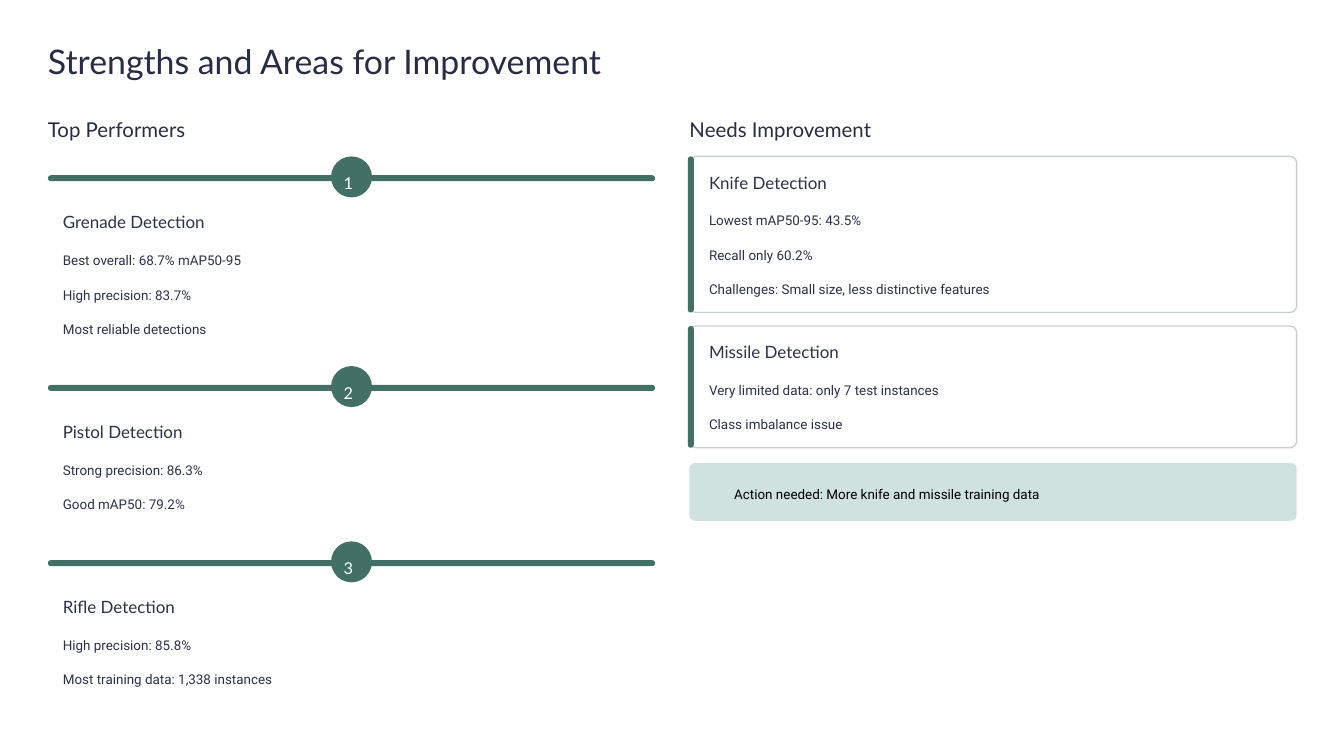
import pptx
import pptx.util
import pptx.dml.color
import pptx.enum.shapes
import pptx.enum.text
from pptx.util import Cm, Pt

TITLE = "Strengths and Areas for Improvement"
STRENGTHS = ("Top Performers", [
    ("Grenade Detection", ["Best overall: 68.7% mAP50-95", "High precision: 83.7%",
                           "Most reliable detections"]),
    ("Pistol Detection", ["Strong precision: 86.3%", "Good mAP50: 79.2%"]),
    ("Rifle Detection", ["High precision: 85.8%", "Most training data: 1,338 instances"]),
])
WEAKNESSES = ("Needs Improvement", [
    ("Knife Detection", ["Lowest mAP50-95: 43.5%", "Recall only 60.2%",
                         "Challenges: Small size, less distinctive features"]),
    ("Missile Detection", ["Very limited data: only 7 test instances",
                           "Class imbalance issue"]),
])
ACTION = "Action needed: More knife and missile training data"

THEME = {
    "green": "437066", "mint": "CFE2DE", "border": "C5D2CF", "white": "FFFFFF",
    "title": {"name": "Lato", "size": 29, "color": "272D45", "leading": 36.5},
    "section": {"name": "Lato", "size": 17.5, "color": "272D45", "leading": 22},
    "number": {"name": "Lato", "size": 14, "color": "FFFFFF", "leading": 22.5},
    "heading": {"name": "Lato", "size": 14.5, "color": "2C3249", "leading": 18},
    "body": {"name": "Roboto", "size": 11.5, "color": "2C3249", "leading": 18.5},
    "action": {"name": "Roboto", "size": 11.5, "color": "000000", "leading": 18.5},
}

LEFT, RIGHT, COL_W = 1.45, 20.85, 18.36
SECTION_TOP, CONTENT_TOP = 3.5, 4.73
ROW, ROW_GAP, LINES_DROP = 1.04, 11, 1.07
BAR, BADGE = 0.18, 1.24
CARD_GAP = 0.41


def rgb(value):
    return pptx.dml.color.RGBColor.from_string(value)


def write(tf, lines, style):
    look = THEME[style]
    for i, line in enumerate(lines):
        p = tf.paragraphs[0] if i == 0 else tf.add_paragraph()
        layout = {"alignment": pptx.enum.text.PP_ALIGN.LEFT,
                  "line_spacing": Pt(look["leading"]),
                  "space_before": Pt(ROW_GAP if i else 0)}
        for key, value in layout.items():
            setattr(p, key, value)
        r = p.add_run()
        r.text = line
        for key, value in {"name": look["name"], "size": Pt(look["size"])}.items():
            setattr(r.font, key, value)
        r.font.color.rgb = rgb(look["color"])


def set_frame(tf, left=0, anchor=pptx.enum.text.MSO_ANCHOR.TOP):
    frame = {"margin_left": Cm(left), "margin_top": 0, "margin_right": 0,
             "margin_bottom": 0, "word_wrap": True, "vertical_anchor": anchor}
    for key, value in frame.items():
        setattr(tf, key, value)


def add_text(s, x, y, w, h, lines, style):
    tf = s.shapes.add_textbox(Cm(x), Cm(y), Cm(w), Cm(h)).text_frame
    set_frame(tf)
    write(tf, lines, style)


def add_block(s, x, y, w, h, fill, radius, line=None):
    sp = s.shapes.add_shape(pptx.enum.shapes.MSO_SHAPE.ROUNDED_RECTANGLE,
                            Cm(x), Cm(y), Cm(w), Cm(h))
    sp.shadow.inherit = False
    sp.adjustments[0] = min(0.5, radius / min(w, h))
    sp.fill.solid()
    sp.fill.fore_color.rgb = rgb(THEME[fill])
    if line:
        sp.line.color.rgb = rgb(THEME[line])
        sp.line.width = Pt(1.2)
    else:
        sp.line.fill.background()
    return sp


def add_topic(s, x, y, w, heading, lines):
    add_text(s, x, y, w, 0.64, [heading], "heading")
    add_text(s, x, y + LINES_DROP, w, ROW * len(lines) - 0.39, lines, "body")


def add_strengths(s):
    section, topics = STRENGTHS
    add_text(s, LEFT, SECTION_TOP, COL_W, 0.79, [section], "section")
    y = CONTENT_TOP
    for number, (heading, lines) in enumerate(topics, 1):
        add_block(s, LEFT, y + 0.57, COL_W, BAR, "green", BAR)
        badge_x = LEFT + (COL_W - BADGE) / 2
        add_block(s, badge_x, y, BADGE, BADGE, "green", BADGE)
        add_text(s, badge_x + 0.38, y + 0.31, 0.5, 0.6, [str(number)], "number")
        add_topic(s, LEFT + 0.45, y + 1.66, 17.45, heading, lines)
        y += 3.22 + ROW * len(lines)


def add_weaknesses(s):
    section, topics = WEAKNESSES
    add_text(s, RIGHT, SECTION_TOP, COL_W, 0.79, [section], "section")
    y = CONTENT_TOP
    for heading, lines in topics:
        height = 1.6 + ROW * len(lines)
        add_block(s, RIGHT, y, COL_W, height, "white", 0.2, "border")
        add_block(s, RIGHT - 0.05, y, BAR, height, "green", BAR)
        add_topic(s, RIGHT + 0.59, y + 0.46, 17.32, heading, lines)
        y += height + CARD_GAP
    sp = add_block(s, RIGHT, y + 0.05, COL_W, 1.75, "mint", 0.17)
    set_frame(sp.text_frame, 1.3, pptx.enum.text.MSO_ANCHOR.MIDDLE)
    write(sp.text_frame, [ACTION], "action")


def main():
    prs = pptx.Presentation()
    prs.slide_width, prs.slide_height = Cm(40.64), Cm(22.86)
    s = prs.slides.add_slide(prs.slide_layouts[6])
    add_text(s, LEFT, 1.17, COL_W, 1.3, [TITLE], "title")
    add_strengths(s)
    add_weaknesses(s)
    prs.save("out.pptx")


if __name__ == "__main__":
    main()
